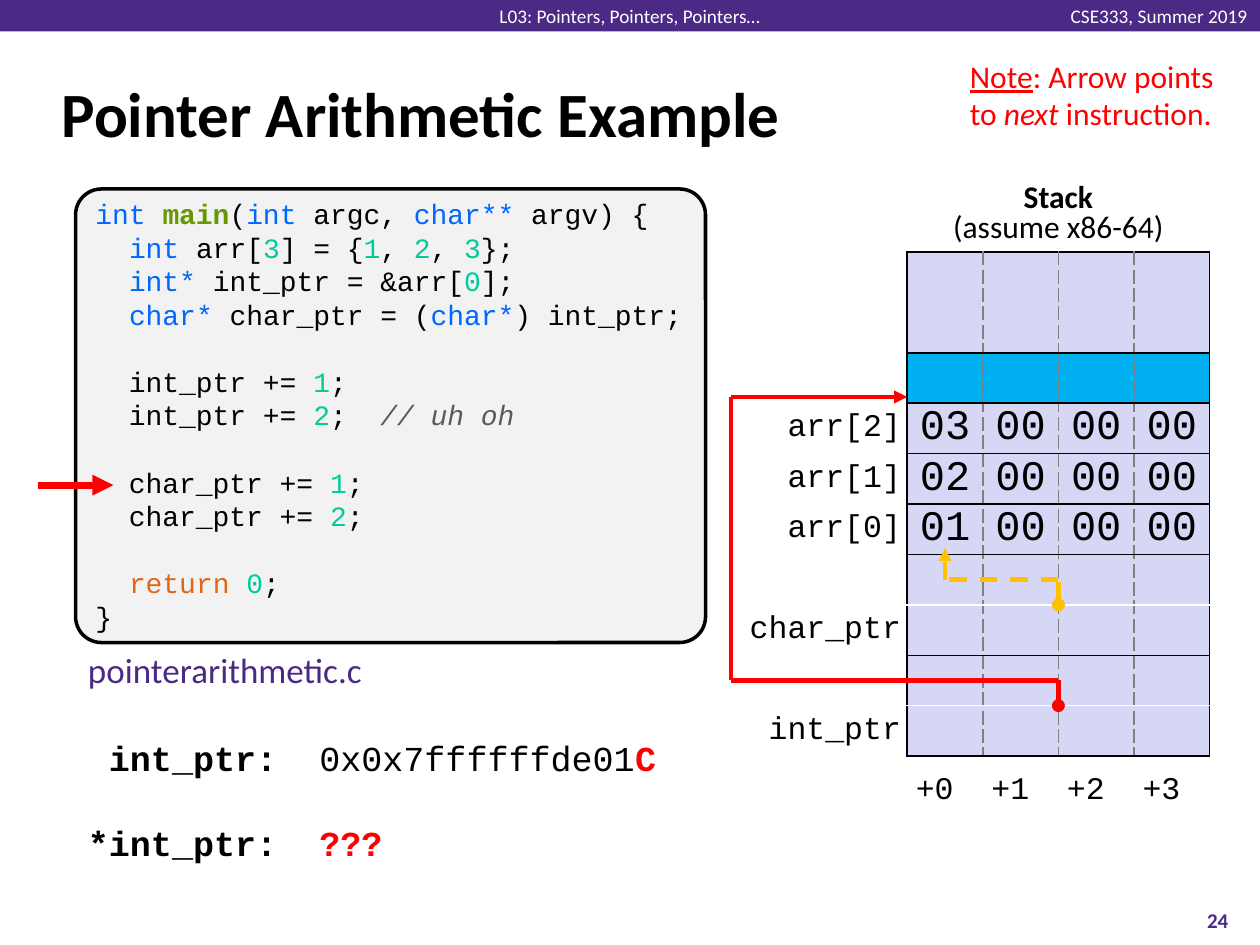
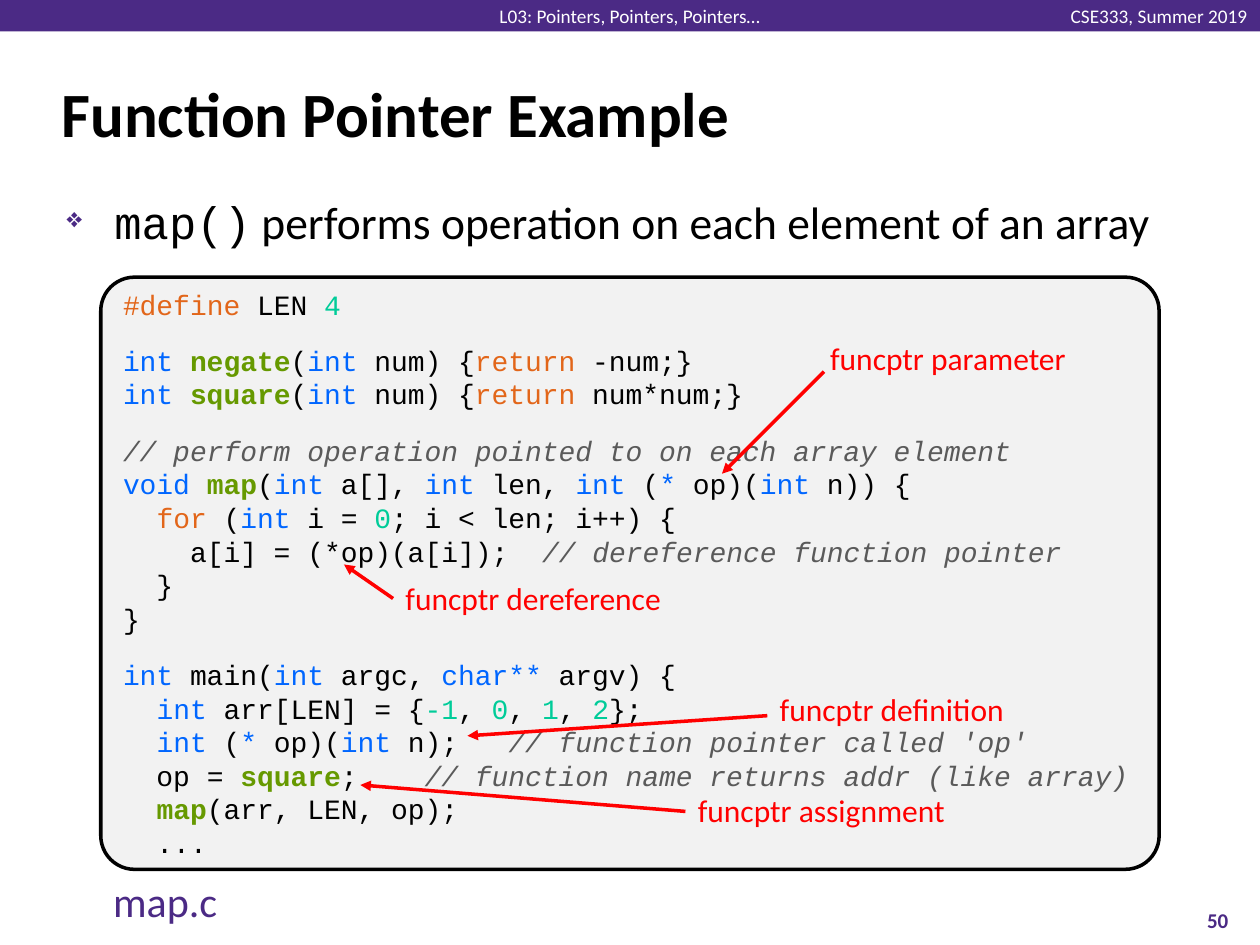
from itertools import pairwise

from lxml import etree
from pptx import Presentation
from pptx.dml.color import RGBColor
from pptx.enum.dml import MSO_LINE
from pptx.enum.shapes import MSO_CONNECTOR, MSO_SHAPE as SHAPE
from pptx.enum.text import MSO_ANCHOR as ANCHOR, PP_ALIGN as ALIGN
from pptx.oxml.ns import qn
from pptx.util import Inches, Pt

COLORS = {
    "purple": "4B2A85", "white": "FFFFFF", "black": "000000", "red": "FF0000",
    "gold": "FFC000", "grey": "808080", "panel": "F2F2F2",
    "memory": "D6D6F5", "free": "00B0F0",
    "type": "0066FF", "name": "669900", "number": "00CC99",
    "comment": "5A5A5A", "keyword": "E2661A",
}
SANS, MONO = "Calibri", "Courier New"

# Marks used in «x:text» markup: colour, bold, italic, underline, font
MARKS = {
    "t": {"color": "type"},
    "f": {"color": "name", "bold": True},
    "n": {"color": "number"},
    "c": {"color": "comment", "italic": True},
    "k": {"color": "keyword"},
    "r": {"color": "red", "bold": True},
    "b": {"bold": True},
    "i": {"italic": True},
    "u": {"underline": True},
    "m": {"font": MONO},
}

ARITHMETIC_CODE = """\
«t:int »«f:main»(«t:int »argc, «t:char** »argv) {
  «t:int »arr[«n:3»] = {«n:1», «n:2», «n:3»};
  «t:int* »int_ptr = &arr[«n:0»];
  «t:char* »char_ptr = («t:char*») int_ptr;

  int_ptr += «n:1»;
  int_ptr += «n:2»;  «c:// uh oh»

  char_ptr += «n:1»;
  char_ptr += «n:2»;

  «k:return »«n:0»;
}"""

MAP_CODE = """\
«k:#define »LEN «n:4»

«t:int »«f:negate»(«t:int »num) {«k:return» -num;}
«t:int »«f:square»(«t:int »num) {«k:return »num*num;}

«c:// perform operation pointed to on each array element»
«t:void »«f:map»(«t:int» a[], «t:int »len, «t:int »(«t:*» op)(«t:int» n)) {
  «k:for» («t:int »i = «n:0»; i < len; i++) {
    a[i] = (*op)(a[i]);  «c:// dereference function pointer»
  }
}

«t:int »main(«t:int »argc, «t:char** »argv) {
  «t:int »arr[LEN] = {«n:-1», «n:0», «n:1», «n:2»};
  «t:int »(«t:*» op)(«t:int» n);   «c:// function pointer called 'op'»
  op = «f:square»;    «c:// function name returns addr (like array)»
  «f:map»(arr, LEN, op);
  ..."""


def rgb(color):
    return RGBColor.from_string(COLORS[color])


def add_run(paragraph, text, color=None, bold=None, italic=None, underline=None, font=None):
    run = paragraph.add_run()
    run.text = text
    if color:
        run.font.color.rgb = rgb(color)
    if font:
        run.font.name = font
    run.font.bold, run.font.italic, run.font.underline = bold, italic, underline


def write(paragraph, markup, size, color="black", font=SANS, bold=False, align=ALIGN.LEFT):
    paragraph.font.size, paragraph.font.name, paragraph.font.bold = Pt(size), font, bold
    paragraph.font.color.rgb = rgb(color)
    paragraph.alignment = align
    plain, *marked = markup.split("«")
    if plain:
        add_run(paragraph, plain)
    for chunk in marked:
        inside, _, after = chunk.partition("»")
        add_run(paragraph, inside[2:], **MARKS[inside[0]])
        if after:
            add_run(paragraph, after)


def add_text(slide, box, lines, size, anchor=ANCHOR.TOP, margin_y=0.05,
             spacing=None, gap=0, **style):
    frame = slide.shapes.add_textbox(*map(Inches, box)).text_frame
    frame.word_wrap = True
    frame.vertical_anchor = anchor
    frame.margin_top = frame.margin_bottom = Inches(margin_y)
    for number, line in enumerate(lines.split("\n")):
        paragraph = frame.add_paragraph() if number else frame.paragraphs[0]
        write(paragraph, line, size, **style)
        if spacing:
            paragraph.line_spacing = spacing
        if number and gap:
            paragraph.space_before = Pt(gap)
    return frame


def add_line(slide, start, end, color, width, head=None, tail=None, dash=None):
    line = slide.shapes.add_connector(
        MSO_CONNECTOR.STRAIGHT, *map(Inches, (*start, *end)))
    line.line.color.rgb = rgb(color)
    line.line.width = Pt(width)
    if dash:
        line.line.dash_style = dash
    properties = line._element.spPr
    outline = properties.find(qn("a:ln"))
    for tag, kind in (("a:headEnd", head), ("a:tailEnd", tail)):
        if kind:
            etree.SubElement(outline, qn(tag), type=kind)
    etree.SubElement(properties, qn("a:effectLst"))


def add_pointer(slide, points, color, dash=None):
    """Draw a bent arrow from a dot at the first point to a tip at the last."""
    legs = list(pairwise(points))
    for number, (start, end) in enumerate(legs):
        add_line(slide, start, end, color, 2.5, dash=dash,
                 head="oval" if number == 0 else None,
                 tail="triangle" if number == len(legs) - 1 else None)


def add_shape(slide, kind, box, fill):
    shape = slide.shapes.add_shape(kind, *map(Inches, box))
    shape.shadow.inherit = False
    shape.fill.solid()
    shape.fill.fore_color.rgb = rgb(fill)
    return shape


def add_slide(presentation, title, number):
    slide = presentation.slides.add_slide(presentation.slide_layouts[6])
    # Top band
    add_shape(slide, SHAPE.RECTANGLE, (0, 0, 10, 0.25), "purple").line.fill.background()
    band = {"size": 11, "color": "white", "anchor": ANCHOR.MIDDLE, "margin_y": 0}
    add_text(slide, (8, 0.03, 2, 0.19), "CSE333, Summer 2019", align=ALIGN.RIGHT, **band)
    add_text(slide, (3.5, 0.03, 3, 0.19), "L03: Pointers, Pointers, Pointers…",
             align=ALIGN.CENTER, **band)
    # Title and slide number
    add_text(slide, (0.39, 0.48, 9.19, 0.83), title, 36, ANCHOR.MIDDLE, bold=True)
    add_text(slide, (9.33, 7.1, 0.67, 0.4), str(number), 12, ANCHOR.MIDDLE,
             color="purple", bold=True, align=ALIGN.CENTER)
    return slide


def add_code_panel(slide, box, code, gap, file_name, file_size):
    left, top, _, height = box
    panel = add_shape(slide, SHAPE.ROUNDED_RECTANGLE, box, "panel")
    panel.adjustments[0] = 0.057
    panel.line.color.rgb = rgb("black")
    panel.line.width = Pt(2)
    frame = panel.text_frame
    frame.word_wrap = True
    frame.vertical_anchor = ANCHOR.TOP
    frame.margin_top = frame.margin_right = 0
    # An empty code line becomes space before the next block
    for number, block in enumerate(code.split("\n\n")):
        for row, line in enumerate(block.split("\n")):
            first = number == row == 0
            paragraph = frame.paragraphs[0] if first else frame.add_paragraph()
            write(paragraph, line, 16, font=MONO)
            paragraph.line_spacing = Pt(19.2)
            if number and row == 0:
                paragraph.space_before = Pt(gap)
    add_text(slide, (left, top + height, 2.5, 0.5), file_name, file_size, color="purple")


def set_borders(cell, left, right, top, bottom):
    properties = cell._tc.get_or_add_tcPr()
    sides = zip(("a:lnL", "a:lnR", "a:lnT", "a:lnB"), (left, right, top, bottom))
    for position, (tag, color) in enumerate(sides):
        border = etree.Element(qn(tag), w=str(Pt(1)))
        properties.insert(position, border)
        if color is None:
            etree.SubElement(border, qn("a:noFill"))
            continue
        fill = etree.SubElement(border, qn("a:solidFill"))
        etree.SubElement(fill, qn("a:srgbClr"), val=COLORS[color])
        if color == "grey":
            etree.SubElement(border, qn("a:prstDash"), val="lgDash")


def add_stack(slide, left, top):
    label_width, byte_width, row_height = 1.3, 0.6, 0.4
    labels = ["", "", "arr[2]", "arr[1]", "arr[0]", "", "char_ptr", "", "int_ptr"]
    first_bytes = {2: "03", 3: "02", 4: "01"}
    free_row, pointer_rows = 1, (5, 7)  # each pointer spans two rows

    add_text(slide, (left + label_width, top - 0.59, 4 * byte_width, 0.59),
             "«b:Stack»\n(assume x86-64)", 18, spacing=0.8, align=ALIGN.CENTER)

    # Memory table
    table = slide.shapes.add_table(
        len(labels), 5, Inches(left), Inches(top), Inches(3.7), Inches(4)).table
    table.first_row = table.horz_banding = False
    for index, column in enumerate(table.columns):
        column.width = Inches(byte_width if index else label_width)
    for row, label in enumerate(labels):
        table.rows[row].height = Inches(row_height if row else 2 * row_height)
        for column in range(5):
            cell = table.cell(row, column)
            cell.vertical_anchor = ANCHOR.MIDDLE
            cell.margin_left = cell.margin_right = Inches(0.05)
            cell.margin_top = cell.margin_bottom = 0
            paragraph = cell.text_frame.paragraphs[0]
            if column == 0:
                write(paragraph, label, 18, font=MONO, align=ALIGN.RIGHT)
                cell.fill.background()
                set_borders(cell, None, "black", None, None)
                continue
            if row in first_bytes:
                byte = first_bytes[row] if column == 1 else "00"
                write(paragraph, byte, 24, font=MONO, align=ALIGN.CENTER)
            cell.fill.solid()
            cell.fill.fore_color.rgb = rgb("free" if row == free_row else "memory")
            set_borders(cell,
                        "black" if column == 1 else "grey",
                        "black" if column == 4 else "grey",
                        "white" if row - 1 in pointer_rows else "black",
                        "white" if row in pointer_rows else "black")
    add_text(slide, (left + 1.27, top + 4.05, 2.4, 0.4), "+0  +1  +2  +3", 18, font=MONO)

    # Pointer arrows
    def place(*points):
        return [(left + x, top + y) for x, y in points]

    add_pointer(slide, place((2.5, 3.6), (2.5, 3.4), (-0.1, 3.4), (-0.1, 1.15), (1.3, 1.15)),
                "red")
    add_pointer(slide, place((2.5, 2.8), (2.5, 2.6), (1.6, 2.6), (1.6, 2.35)),
                "gold", MSO_LINE.DASH)


def add_callout(slide, label, label_at, width, start, tip):
    add_text(slide, (*label_at, width, 0.4), label, 18, color="red")
    add_line(slide, start, tip, "red", 2, tail="triangle")


def build_arithmetic_slide(presentation):
    slide = add_slide(presentation, "Pointer Arithmetic Example", 24)
    add_code_panel(slide, (0.6, 1.5, 5, 3.6), ARITHMETIC_CODE, 19.2, "pointerarithmetic.c", 20)
    add_stack(slide, 5.9, 2)
    # Next instruction
    add_line(slide, (0.3, 3.85), (0.9, 3.85), "red", 4, tail="triangle")
    add_text(slide, (7.6, 0.4, 2.3, 0.71),
             "«u:Note»: Arrow points to «i:next» instruction.", 18, color="red")
    # Pointer values
    add_text(slide, (0.6, 5.8, 4.8, 0.77),
             "«b: int_ptr:»  0x0x7ffffffde01«r:C»\n«b:*int_ptr:  »«r:???»",
             20, font=MONO, spacing=Pt(24), gap=24)


def build_map_slide(presentation):
    slide = add_slide(presentation, "Function Pointer Example", 50)
    # Bullet
    frame = add_text(slide, (0.43, 1.49, 9.15, 1),
                     "«m:map()» performs operation on each element of an array", 26)
    paragraph = frame.paragraphs[0]
    paragraph.space_before = Pt(5.2)
    properties = paragraph._p.get_or_add_pPr()
    properties.set("marL", str(Inches(0.38)))
    properties.set("indent", str(Inches(-0.38)))
    bullet_color = etree.Element(qn("a:buClr"))
    etree.SubElement(bullet_color, qn("a:srgbClr"), val=COLORS["purple"])
    bullet_size = etree.Element(qn("a:buSzPct"), val="60000")
    bullet = etree.Element(qn("a:buChar"), char="❖")
    position = list(properties).index(properties.find(qn("a:spcBef"))) + 1
    properties[position:position] = [bullet_color, bullet_size, bullet]
    # Code and callouts
    add_code_panel(slide, (0.8, 2.2, 8.4, 4.7), MAP_CODE, 13, "map.c", 24)
    for callout in (
        ("funcptr parameter", (6.49, 2.64), 2.2, (6.54, 2.95), (5.73, 3.76)),
        ("funcptr dereference", (3.12, 4.55), 2.3, (3.12, 4.75), (2.73, 4.48)),
        ("funcptr definition", (6.09, 5.43), 2.1, (6.09, 5.68), (3.71, 5.84)),
        ("funcptr assignment", (5.44, 6.23), 2.3, (5.44, 6.44), (2.86, 6.23)),
    ):
        add_callout(slide, *callout)


def main():
    presentation = Presentation()
    presentation.slide_width, presentation.slide_height = Inches(10), Inches(7.5)
    build_arithmetic_slide(presentation)
    build_map_slide(presentation)
    presentation.save("out.pptx")


if __name__ == "__main__":
    main()
